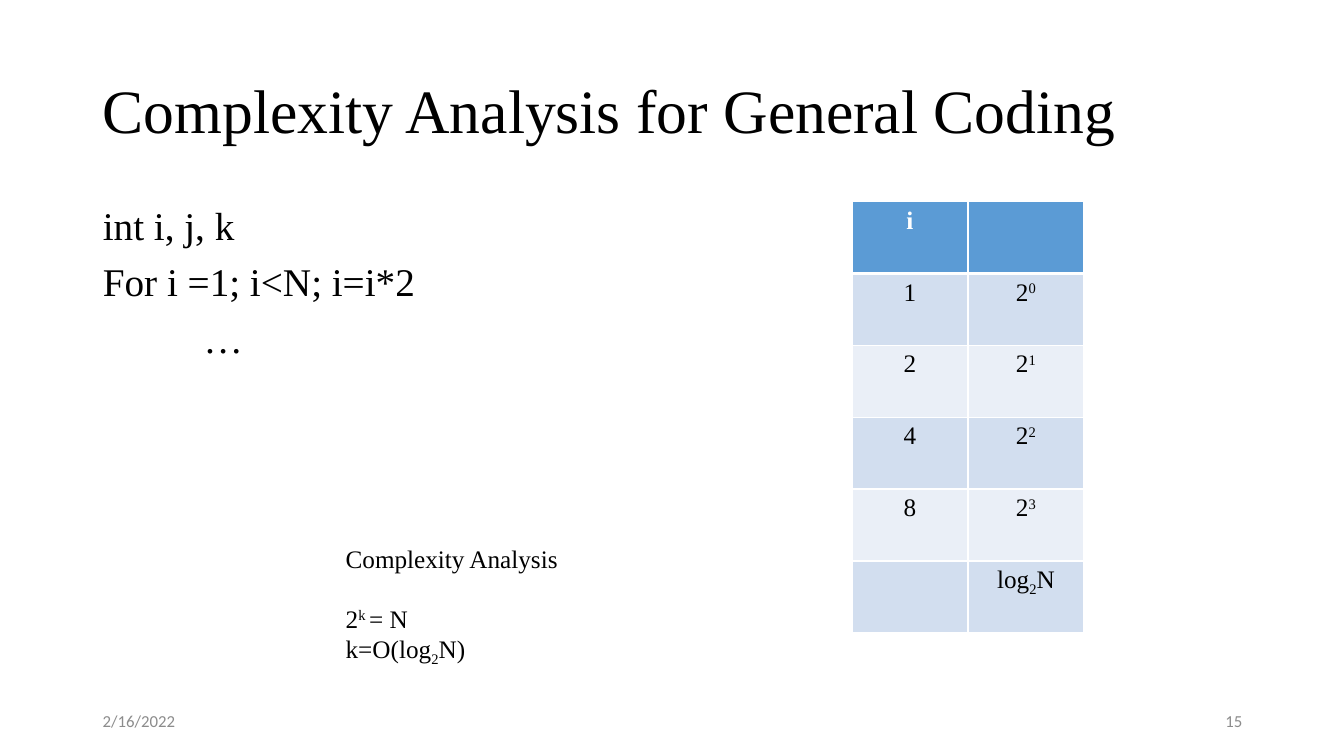
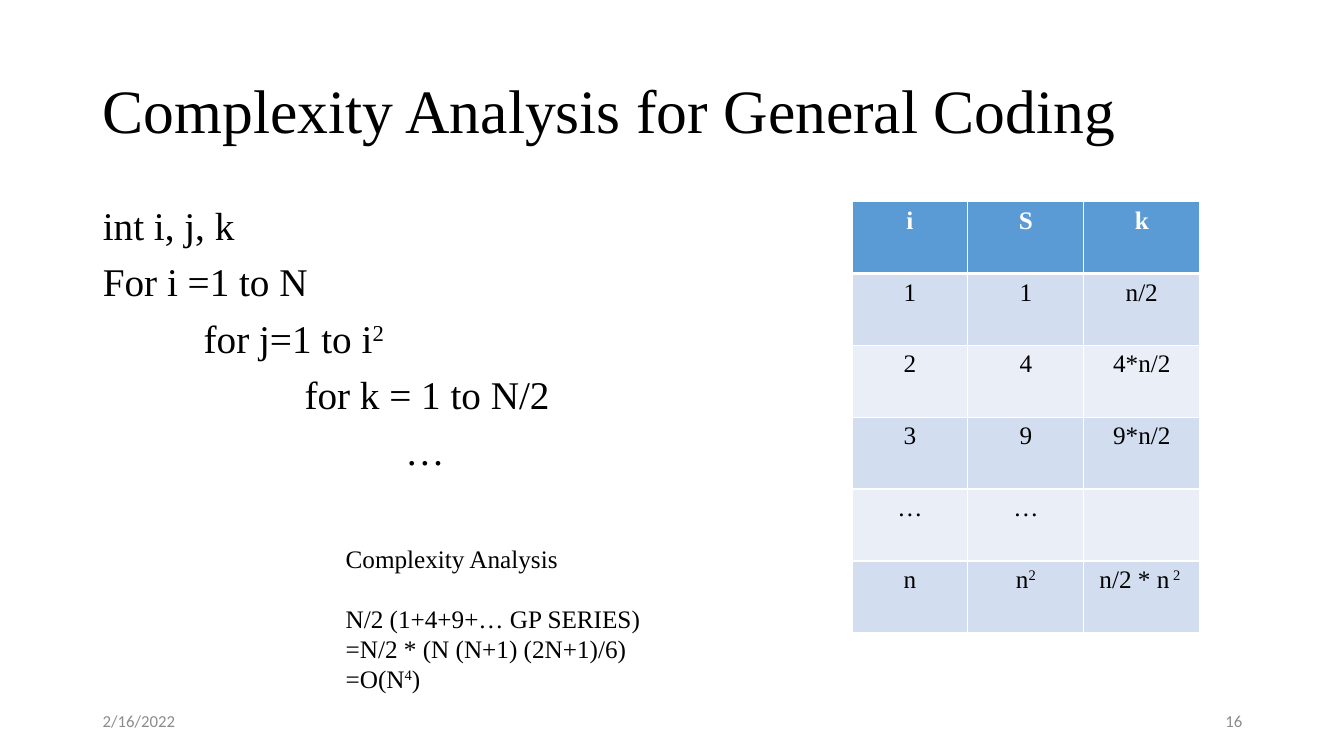
import pptx
import pptx.enum.text
import pptx.oxml
import pptx.oxml.ns
import pptx.util
from pptx.util import Inches

COLOURS = {
    "text": "000000",
    "footer": "8C8C8C",
    "header": "5B9BD5",
    "odd_row": "D2DEEF",
    "even_row": "EAEFF7",
    "white": "FFFFFF",
}
SERIF, SANS = "Times New Roman", "Calibri"
ALIGN = pptx.enum.text.PP_ALIGN
ANCHOR = pptx.enum.text.MSO_ANCHOR
TITLE = "Complexity Analysis for General Coding"
DATE = "2/16/2022"
BASELINES = {"^": "30000", "_": "-25000"}

# Text is split at "|"; a part that starts with ^ is raised, with _ lowered.
# Code lines are pairs of indent depth and text.
PAGES = [
    {
        "number": "15",
        "code": [(0, "int i, j, k"), (0, "For i =1; i<N; i=i*2"), (1, "…")],
        "rows": [
            ["i", ""],
            ["1", "2|^0"],
            ["2", "2|^1"],
            ["4", "2|^2"],
            ["8", "2|^3"],
            ["", "log|_2|N"],
        ],
        "analysis": ["2|^k |= N", "k=O(log|_2|N)"],
    },
    {
        "number": "16",
        "code": [
            (0, "int i, j, k"),
            (0, "For i =1 to N"),
            (1, "for j=1 to i|^2"),
            (2, "for k = 1 to N/2"),
            (3, "…"),
        ],
        "rows": [
            ["i", "S", "k"],
            ["1", "1", "n/2"],
            ["2", "4", "4*n/2"],
            ["3", "9", "9*n/2"],
            ["…", "…", ""],
            ["n", "n|^2", "n/2 * n|^ 2 "],
        ],
        "analysis": [
            "N/2 (1+4+9+… GP SERIES)",
            "=N/2 * (N (N+1) (2N+1)/6)",
            "=O(N|^4|)",
        ],
    },
]


def colour(name):
    return pptx.dml.color.RGBColor.from_string(COLOURS[name])


def write(para, text, size, ink="text", face=SERIF, align=ALIGN.LEFT, bold=False):
    """Fill a paragraph, raising or lowering the marked parts."""
    para.alignment = align
    para.font.size = pptx.util.Pt(size)
    para.font.name = face
    para.font.bold = bold
    para.font.color.rgb = colour(ink)
    for part in filter(None, text.split("|")):
        span = para.add_run()
        baseline = BASELINES.get(part[0])
        span.text = part[1:] if baseline else part
        if baseline:
            span._r.get_or_add_rPr().set("baseline", baseline)


def paragraphs(frame, count):
    """Yield the first paragraph of a frame and as many new ones as needed."""
    yield frame.paragraphs[0]
    for _ in range(count - 1):
        yield frame.add_paragraph()


def place(shape, left, top, width, height):
    shape.left, shape.top = Inches(left), Inches(top)
    shape.width, shape.height = Inches(width), Inches(height)
    shape.text_frame.word_wrap = True
    shape.text_frame.auto_size = pptx.enum.text.MSO_AUTO_SIZE.NONE


def add_text_box(page, left, top, width, height):
    box = page.shapes.add_textbox(0, 0, 0, 0)
    place(box, left, top, width, height)
    return box.text_frame


def fill_title(page, left, top, width, height):
    title = page.shapes.title
    place(title, left, top, width, height)
    title.text_frame.vertical_anchor = ANCHOR.MIDDLE
    para = title.text_frame.paragraphs[0]
    para.line_spacing = 0.9
    write(para, TITLE, 44)


def fill_code(page, lines, left, top, width, height):
    body = page.placeholders[1]
    place(body, left, top, width, height)
    for (depth, text), para in zip(lines, paragraphs(body.text_frame, len(lines))):
        write(para, text, 28)
        para.line_spacing = 0.9
        para.space_before = pptx.util.Pt(10)
        properties = para._p.get_or_add_pPr()
        properties.set("marL", str(Inches(depth)))
        properties.set("indent", "0")
        bullet = pptx.oxml.parse_xml(f'<a:buNone {pptx.oxml.ns.nsdecls("a")}/>')
        properties.insert_element_before(bullet, "a:tabLst", "a:defRPr", "a:extLst")


def add_footer(page, number, left, top, width, height):
    part_width = 3
    right_part = left + width - part_width
    for x, text, align in ((left, DATE, ALIGN.LEFT), (right_part, number, ALIGN.RIGHT)):
        frame = add_text_box(page, x, top, part_width, height)
        frame.vertical_anchor = ANCHOR.MIDDLE
        write(frame.paragraphs[0], text, 12, "footer", SANS, align)


def set_borders(cell, row):
    """Draw thin white borders, with a thick one under the header."""
    widths = {"L": 1, "R": 1, "T": 3 if row == 1 else 1, "B": 3 if row == 0 else 1}
    properties = cell._tc.get_or_add_tcPr()
    for side, width in widths.items():
        properties.append(pptx.oxml.parse_xml(
            f'<a:ln{side} {pptx.oxml.ns.nsdecls("a")} w="{pptx.util.Pt(width)}">'
            f'<a:solidFill><a:srgbClr val="{COLOURS["white"]}"/></a:solidFill>'
            f'</a:ln{side}>'))


def add_trace_table(page, rows, left, top, column_width, height):
    count = len(rows[0])
    table = page.shapes.add_table(
        len(rows), count, Inches(left), Inches(top),
        Inches(column_width * count), Inches(height)).table
    for r, texts in enumerate(rows):
        header = r == 0
        band = "header" if header else ("odd_row" if r % 2 else "even_row")
        for c, text in enumerate(texts):
            cell = table.cell(r, c)
            set_borders(cell, r)
            cell.fill.solid()
            cell.fill.fore_color.rgb = colour(band)
            write(cell.text_frame.paragraphs[0], text, 18,
                  "white" if header else "text", align=ALIGN.CENTER, bold=header)


def add_analysis(page, steps, left, top, width):
    line_height, gap = 0.3, 21
    lines = ["Complexity Analysis", *steps]
    frame = add_text_box(page, left, top, width, 0.1 + line_height * (len(lines) + 1))
    for text, para in zip(lines, paragraphs(frame, len(lines))):
        write(para, text, 18)
    frame.paragraphs[0].space_after = pptx.util.Pt(gap)


def add_page(deck, content):
    page = deck.slides.add_slide(deck.slide_layouts[1])
    margin, width = 0.92, 11.5
    fill_title(page, margin, 0.4, width, 1.45)
    fill_code(page, content["code"], margin, 2, 6.92, 2.87)
    add_footer(page, content["number"], margin, 6.95, width, 0.4)
    add_trace_table(page, content["rows"], 8.45, 2, 1.15, 4.28)
    add_analysis(page, content["analysis"], 3.33, 5.34, 4.11)


def main():
    deck = pptx.Presentation()
    deck.slide_width, deck.slide_height = Inches(13.33), Inches(7.5)
    for content in PAGES:
        add_page(deck, content)
    deck.save("out.pptx")


if __name__ == "__main__":
    main()
